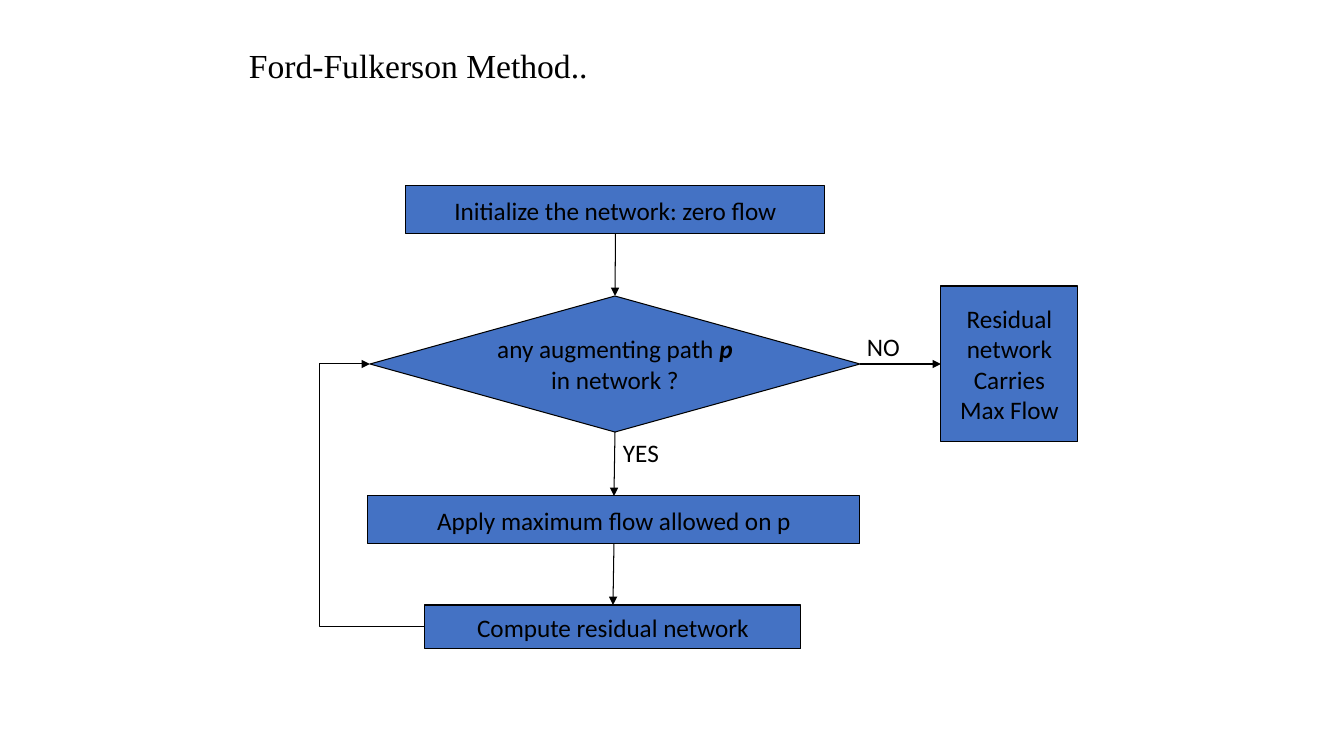
from lxml import etree
from pptx import Presentation
from pptx import util as u
from pptx.dml.color import RGBColor
from pptx.enum import shapes, text
from pptx.oxml.ns import qn

PX = 914400 / 100.8
COLORS = {"fill": "4472C4", "ink": "000000"}


def px(value):
    return u.Emu(round(value * PX))


def write(box, lines, size, font, align):
    frame = box.text_frame
    frame.word_wrap = False
    for index, line in enumerate(lines):
        para = frame.paragraphs[0] if index == 0 else frame.add_paragraph()
        para.alignment = align
        for words, strong in line:
            span = para.add_run()
            span.text = words
            span.font.size = u.Pt(size)
            span.font.name = font
            span.font.bold = span.font.italic = strong
            span.font.color.rgb = RGBColor.from_string(COLORS["ink"])


deck = Presentation()
deck.slide_width, deck.slide_height = px(1344), px(756)
page = deck.slides.add_slide(deck.slide_layouts[6])

RECT = shapes.MSO_SHAPE.RECTANGLE
DECISION = shapes.MSO_SHAPE.FLOWCHART_DECISION
steps = {
    "initialize": (RECT, (406, 186, 419, 48), [[("Initialize the network: zero flow", False)]]),
    "decide": (DECISION, (370, 296, 490, 136),
               [[("any augmenting path ", False), ("p", True)], [("in network ?", False)]]),
    "apply": (RECT, (368, 496, 492, 48), [[("Apply maximum flow allowed on p", False)]]),
    "compute": (RECT, (425, 605, 376, 44), [[("Compute residual network", False)]]),
    "result": (RECT, (941, 286, 137, 156),
               [[(word, False)] for word in ("Residual", "network", "Carries", "Max Flow")]),
}
boxes = {}
for name, (kind, place, lines) in steps.items():
    box = page.shapes.add_shape(kind, *map(px, place))
    box.shadow.inherit = False
    box.fill.solid()
    box.fill.fore_color.rgb = RGBColor.from_string(COLORS["fill"])
    box.line.color.rgb = RGBColor.from_string(COLORS["ink"])
    box.line.width = u.Pt(0.75)
    box.text_frame.vertical_anchor = text.MSO_ANCHOR.MIDDLE
    write(box, lines, 18, "Calibri", text.PP_ALIGN.CENTER)
    boxes[name] = box

labels = [
    ("Ford-Fulkerson Method..", (239, 40, 363, 50), 24, "Times New Roman"),
    ("YES", (613, 432, 56, 40), 18, "Calibri"),
    ("NO", (857, 326, 53, 40), 18, "Calibri"),
]
for words, place, size, font in labels:
    label = page.shapes.add_textbox(*map(px, place))
    write(label, [[(words, False)]], size, font, text.PP_ALIGN.LEFT)
    label.text_frame.auto_size = text.MSO_AUTO_SIZE.SHAPE_TO_FIT_TEXT

TOP, LEFT, BOTTOM, RIGHT = range(4)
STRAIGHT, ELBOW = shapes.MSO_CONNECTOR.STRAIGHT, shapes.MSO_CONNECTOR.ELBOW
arrows = [
    ("compute", LEFT, "decide", LEFT, ELBOW),
    ("decide", RIGHT, "result", LEFT, STRAIGHT),
    ("initialize", BOTTOM, "decide", TOP, STRAIGHT),
    ("decide", BOTTOM, "apply", TOP, STRAIGHT),
    ("apply", BOTTOM, "compute", TOP, STRAIGHT),
]
for source, start, target, end, kind in arrows:
    arrow = page.shapes.add_connector(kind, 0, 0, 0, 0)
    arrow.begin_connect(boxes[source], start)
    arrow.end_connect(boxes[target], end)
    arrow.line.color.rgb = RGBColor.from_string(COLORS["ink"])
    arrow.line.width = u.Pt(0.75)
    etree.SubElement(arrow.line._get_or_add_ln(), qn("a:tailEnd"), type="triangle")
    properties = arrow._element.spPr
    etree.SubElement(properties, qn("a:effectLst"))
    if kind == ELBOW:
        bend = properties.find(qn("a:prstGeom")).find(qn("a:avLst"))
        etree.SubElement(bend, qn("a:gd"), name="adj1", fmla="val 191000")

deck.save("out.pptx")
